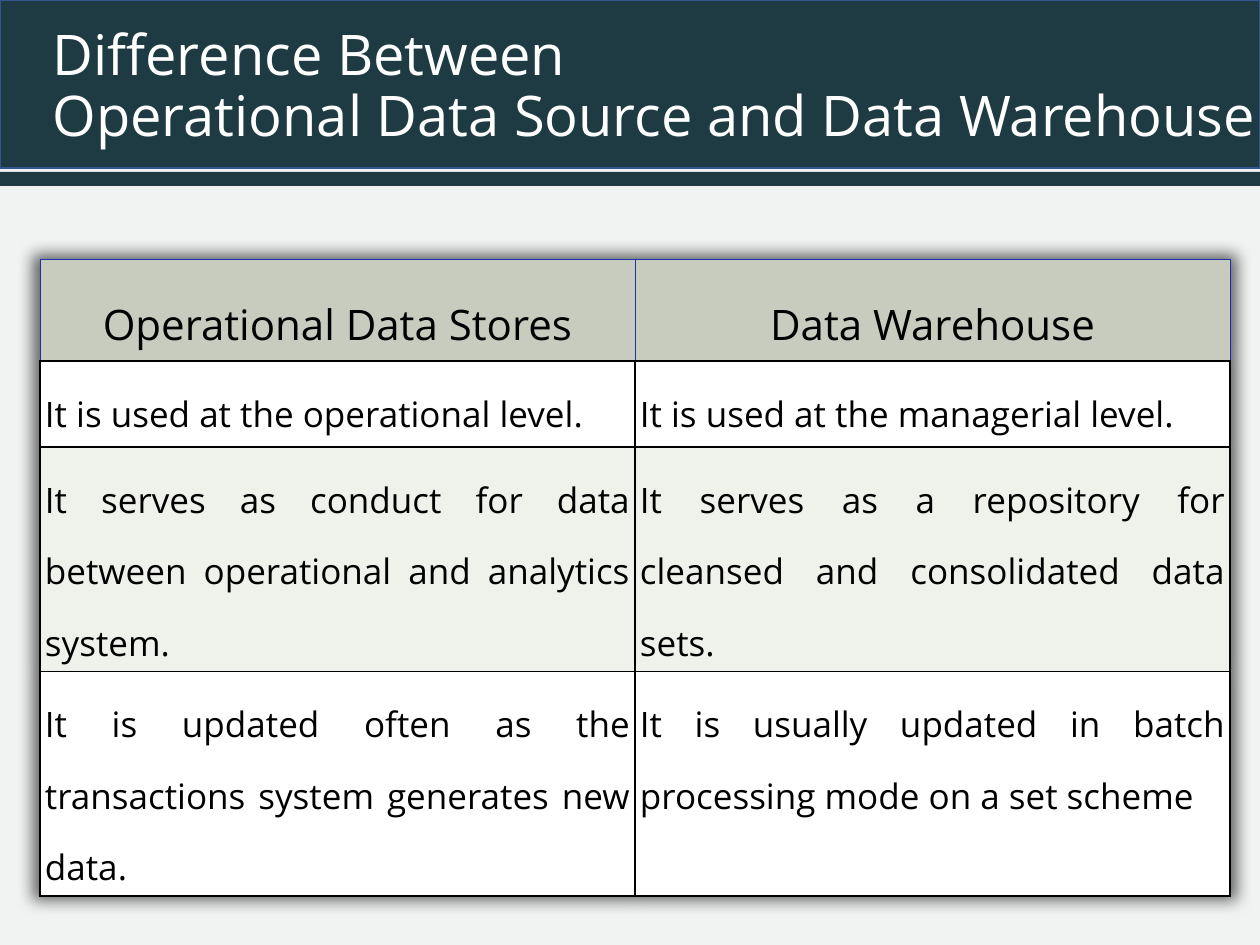
from lxml import etree
from pptx import Presentation
from pptx.dml.color import RGBColor
from pptx.enum.shapes import MSO_SHAPE
from pptx.enum.text import MSO_ANCHOR, MSO_AUTO_SIZE, PP_ALIGN
from pptx.oxml.ns import qn
from pptx.util import Emu, Pt

RECTANGLE = MSO_SHAPE.RECTANGLE
MIDDLE = MSO_ANCHOR.MIDDLE
NO_AUTOFIT = MSO_AUTO_SIZE.NONE
LEFT, CENTER, JUSTIFY = PP_ALIGN.LEFT, PP_ALIGN.CENTER, PP_ALIGN.JUSTIFY

EMU_PER_PX = 914400 / 126
FONT = "Open Sans"
TITLE_ONLY_LAYOUT = 5
COLORS = {
    "background": "F1F3F3",
    "banner": "1E3A42",
    "banner_line": "325491",
    "title": "FFFFFF",
    "text": "000000",
    "border": "000000",
    "header_border": "202FA9",
    "header": "C7CCBE",
    "plain_row": "FFFFFF",
    "banded_row": "EFF1EB",
    "shadow": "000000",
}
ROWS = [
    ("Operational Data Stores", "Data Warehouse"),
    ("It is used at the operational level.", "It is used at the managerial level."),
    ("It serves as conduct for data between operational and analytics system.",
     "It serves as a repository for cleansed and consolidated data sets."),
    ("It is updated often as the transactions system generates new data.",
     "It is usually updated in batch processing mode on a set scheme"),
]
ROW_HEIGHTS = [86, 86, 193, 197]
COLUMN_WIDTH = 595


def px(length):
    """Turn a length in px into EMU."""
    return Emu(round(length * EMU_PER_PX))


def color(name):
    """Return the named colour."""
    return RGBColor.from_string(COLORS[name])


def format_paragraph(paragraph, size, color_name, alignment, line_spacing):
    """Set the font and layout of a paragraph."""
    paragraph.font.name = FONT
    paragraph.font.size = Pt(size)
    paragraph.font.color.rgb = color(color_name)
    paragraph.alignment = alignment
    paragraph.line_spacing = line_spacing


def add_bar(slide, top, height, line_name=None):
    """Add a full-width banner bar."""
    shape = slide.shapes.add_shape(RECTANGLE, 0, px(top), px(1260), px(height))
    shape.shadow.inherit = False
    shape.fill.solid()
    shape.fill.fore_color.rgb = color("banner")
    if line_name:
        shape.line.color.rgb = color(line_name)
        shape.line.width = Pt(1)
    else:
        shape.line.fill.background()


def set_title(slide, text):
    """Fill the title placeholder and bring it in front of the bars."""
    title = slide.shapes.title
    title.left, title.top, title.width, title.height = map(px, (40, 4, 1247, 168))
    frame = title.text_frame
    frame.text = text
    frame.word_wrap = True
    frame.auto_size = NO_AUTOFIT
    frame.vertical_anchor = MIDDLE
    format_paragraph(frame.paragraphs[0], 32, "title", LEFT, 0.9)
    slide.shapes._spTree.append(title._element)


def add_color(parent, color_name):
    """Append a colour element and return it."""
    return etree.SubElement(parent, qn("a:srgbClr"), val=COLORS[color_name])


def set_border(cell, side, color_name, width):
    """Draw one side (L, R, T or B) of a cell border."""
    properties = cell._tc.get_or_add_tcPr()
    line = etree.SubElement(properties, qn(f"a:ln{side}"), w=str(Pt(width)))
    add_color(etree.SubElement(line, qn("a:solidFill")), color_name)


def add_table_shadow(table):
    """Give the table a soft shadow on all sides."""
    effects = etree.Element(qn("a:effectLst"))
    shadow = etree.SubElement(
        effects, qn("a:outerShdw"), blurRad=str(px(16)), sx="101000", sy="101000",
        algn="ctr", rotWithShape="0")
    etree.SubElement(add_color(shadow, "shadow"), qn("a:alpha"), val="60000")
    table._tbl.tblPr.insert(0, effects)


def format_cell(cell, text, row_index):
    """Fill a table cell and style it by its row."""
    is_header = row_index == 0
    for side in "LRTB":
        if is_header and side != "B":
            set_border(cell, side, "header_border", 0.5)
        else:
            set_border(cell, side, "border", 1)
    cell.fill.solid()
    row_fill = "plain_row" if row_index % 2 else "banded_row"
    cell.fill.fore_color.rgb = color("header" if is_header else row_fill)
    margin = px(8 if is_header else 5)
    cell.margin_left = cell.margin_right = margin
    cell.margin_top = cell.margin_bottom = margin
    cell.text = text
    format_paragraph(cell.text_frame.paragraphs[0], 24 if is_header else 20,
                     "text", CENTER if is_header else JUSTIFY, 1.5)


def add_comparison_table(slide):
    """Add the table comparing both kinds of data store."""
    columns = len(ROWS[0])
    table = slide.shapes.add_table(
        len(ROWS), columns, px(40), px(259),
        px(columns * COLUMN_WIDTH), px(sum(ROW_HEIGHTS))).table
    add_table_shadow(table)
    for column in table.columns:
        column.width = px(COLUMN_WIDTH)
    for row_index, (texts, height) in enumerate(zip(ROWS, ROW_HEIGHTS)):
        table.rows[row_index].height = px(height)
        for column_index, text in enumerate(texts):
            format_cell(table.cell(row_index, column_index), text, row_index)


def main():
    """Build and save the slide."""
    presentation = Presentation()
    presentation.slide_width, presentation.slide_height = px(1260), px(945)
    slide = presentation.slides.add_slide(presentation.slide_layouts[TITLE_ONLY_LAYOUT])
    slide.background.fill.solid()
    slide.background.fill.fore_color.rgb = color("background")
    add_bar(slide, 0, 168, "banner_line")
    add_bar(slide, 172, 14)
    set_title(slide, "Difference Between\vOperational Data Source and Data Warehouse")
    add_comparison_table(slide)
    presentation.save("out.pptx")


if __name__ == "__main__":
    main()
